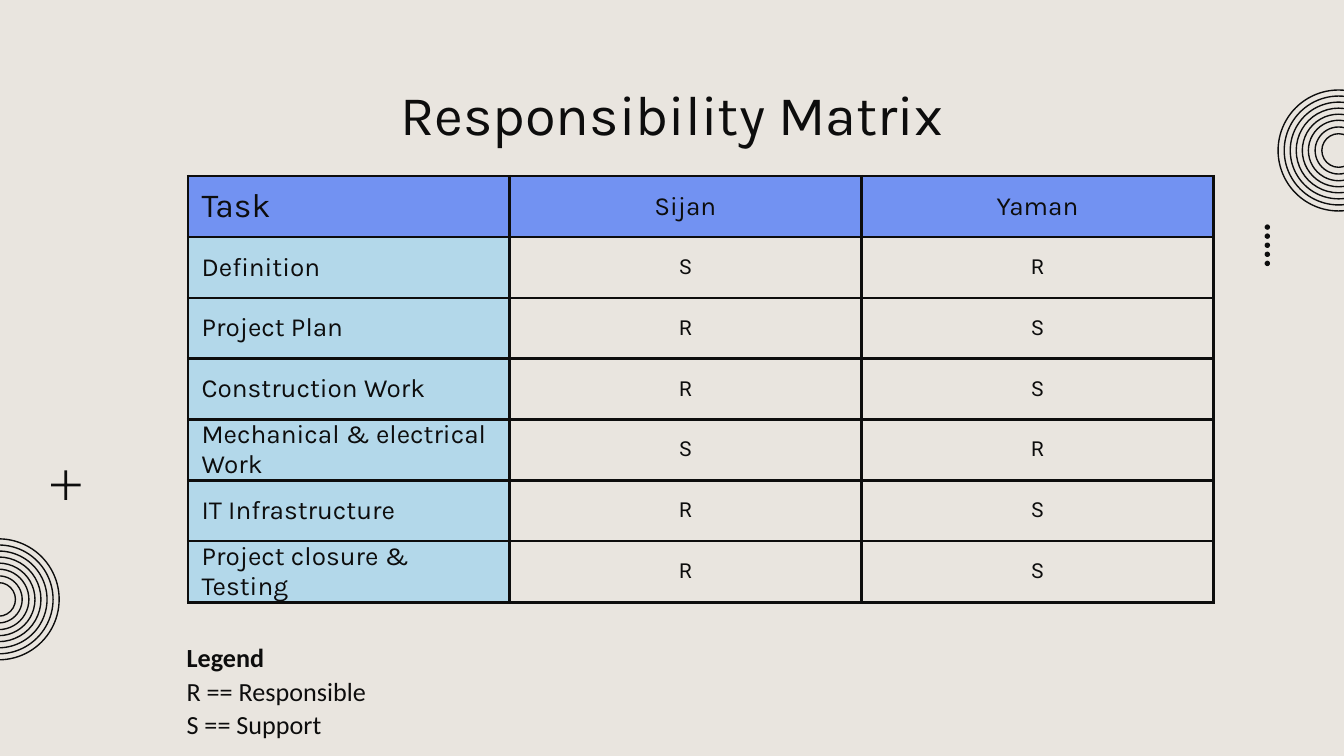
from pptx import Presentation
from pptx.dml.color import RGBColor
from pptx.enum.shapes import MSO_SHAPE as SHAPE
from pptx.enum.text import MSO_ANCHOR as ANCHOR, PP_ALIGN as ALIGN
from pptx.oxml import parse_xml
from pptx.oxml.ns import nsdecls
from pptx.util import Inches, Pt

COLORS = {"paper": "E9E5DF", "ink": "0D0D0D", "header": "7292F2", "task": "B3D8EA"}
RING_SIZES = (0.9, 0.81, 0.72, 0.63, 0.54, 0.45, 0.35, 0.25)
COLUMN_WIDTHS = (2.39, 2.62, 2.62)
MATRIX = (
    ("Task", "Sijan", "Yaman"),
    ("Definition", "S", "R"),
    ("Project Plan", "R", "S"),
    ("Construction Work", "R", "S"),
    ("Mechanical & electrical Work", "S", "R"),
    ("IT Infrastructure", "R", "S"),
    ("Project closure & Testing", "R", "S"),
)


def color(name):
    """Return the named palette colour."""
    return RGBColor.from_string(COLORS[name])


def style_runs(paragraph, font_name, size):
    """Give every run of a paragraph its font, size and ink colour."""
    for run in paragraph.runs:
        run.font.name = font_name
        run.font.size = Pt(size)
        run.font.color.rgb = color("ink")


def add_ornament(slide, preset, left, top, size, filled=True):
    """Add a square ornament, either solid or outlined."""
    ornament = slide.shapes.add_shape(
        preset, Inches(left), Inches(top), Inches(size), Inches(size))
    ornament.shadow.inherit = False
    if filled:
        ornament.fill.solid()
        ornament.fill.fore_color.rgb = color("ink")
        ornament.line.fill.background()
    else:
        ornament.fill.background()
        ornament.line.color.rgb = color("ink")
        ornament.line.width = Pt(0.75)
    return ornament


def add_rings(slide, center_x, center_y):
    """Draw concentric rings around a centre."""
    for size in RING_SIZES:
        add_ornament(slide, SHAPE.OVAL, center_x - size / 2, center_y - size / 2,
                     size, filled=False)


def add_dots(slide, left, top, height, count=5, size=0.04):
    """Draw a column of evenly spaced dots."""
    pitch = (height - size) / (count - 1)
    for index in range(count):
        add_ornament(slide, SHAPE.OVAL, left, top + index * pitch, size)


def set_title(slide, left, top, width, height):
    """Place and format the slide title."""
    title = slide.shapes.title
    title.left, title.top = Inches(left), Inches(top)
    title.width, title.height = Inches(width), Inches(height)
    frame = title.text_frame
    frame.text = "Responsibility Matrix"
    frame.word_wrap = True
    frame.vertical_anchor = ANCHOR.TOP
    frame.margin_left = frame.margin_right = Inches(0.1)
    frame.margin_top = frame.margin_bottom = Inches(0.1)
    frame.paragraphs[0].alignment = ALIGN.CENTER
    style_runs(frame.paragraphs[0], "Karla", 30)


def add_borders(cell):
    """Outline all four sides of a table cell."""
    properties = cell._tc.get_or_add_tcPr()
    for side in "LRTB":
        properties.append(parse_xml(
            f'<a:ln{side} {nsdecls("a")} w="{Pt(1.5)}"><a:solidFill>'
            f'<a:srgbClr val="{COLORS["ink"]}"/></a:solidFill></a:ln{side}>'))


def format_cell(cell, is_header, is_task):
    """Format a cell according to its row and column role."""
    add_borders(cell)
    if is_header or is_task:
        cell.fill.solid()
        cell.fill.fore_color.rgb = color("header" if is_header else "task")
    else:
        cell.fill.background()
    cell.vertical_anchor = ANCHOR.MIDDLE
    cell.margin_left = cell.margin_right = Inches(0.1 if is_header or is_task else 0)
    cell.margin_top = cell.margin_bottom = Inches(0.07 if is_header else 0)
    paragraph = cell.text_frame.paragraphs[0]
    paragraph.alignment = ALIGN.LEFT if is_task else ALIGN.CENTER
    if is_header and is_task:
        style_runs(paragraph, "Karla", 18)
    elif is_header or is_task:
        style_runs(paragraph, "Karla", 14)
    else:
        style_runs(paragraph, "Roboto", 11)


def add_matrix(slide, left, top, height):
    """Add the table of tasks and responsibilities."""
    table = slide.shapes.add_table(
        len(MATRIX), len(COLUMN_WIDTHS), Inches(left), Inches(top),
        Inches(sum(COLUMN_WIDTHS)), Inches(height)).table
    table.first_row = table.horz_banding = False
    for column, width in zip(table.columns, COLUMN_WIDTHS):
        column.width = Inches(width)
    for row_index, entries in enumerate(MATRIX):
        for column_index, entry in enumerate(entries):
            cell = table.cell(row_index, column_index)
            cell.text_frame.text = entry
            format_cell(cell, row_index == 0, column_index == 0)


def add_legend(slide, left, top, width, height):
    """Explain the letters used in the matrix."""
    frame = slide.shapes.add_textbox(
        Inches(left), Inches(top), Inches(width), Inches(height)).text_frame
    frame.word_wrap = True
    legend = frame.paragraphs[0]
    legend.text = "Legend\vR == Responsible\vS == Support"
    legend.line_spacing = 1.07
    style_runs(legend, "Calibri", 14)
    legend.runs[0].font.bold = True


def main():
    """Build and save the responsibility matrix slide."""
    deck = Presentation()
    deck.slide_width = Inches(10)
    deck.slide_height = deck.slide_width * 9 // 16
    slide = deck.slides.add_slide(deck.slide_layouts[5])
    slide.background.fill.solid()
    slide.background.fill.fore_color.rgb = color("paper")
    add_dots(slide, 9.41, 1.67, 0.31)
    add_rings(slide, 9.96, 1.12)
    add_rings(slide, -0.01, 4.46)
    plus = add_ornament(slide, SHAPE.MATH_PLUS, 0.34, 3.46, 0.3)
    plus.adjustments[0] = 0.07
    set_title(slide, 0.78, 0.49, 8.44, 0.63)
    add_matrix(slide, 1.4, 1.31, 3.17)
    add_legend(slide, 1.29, 4.71, 2.37, 0.86)
    deck.save("out.pptx")


if __name__ == "__main__":
    main()
